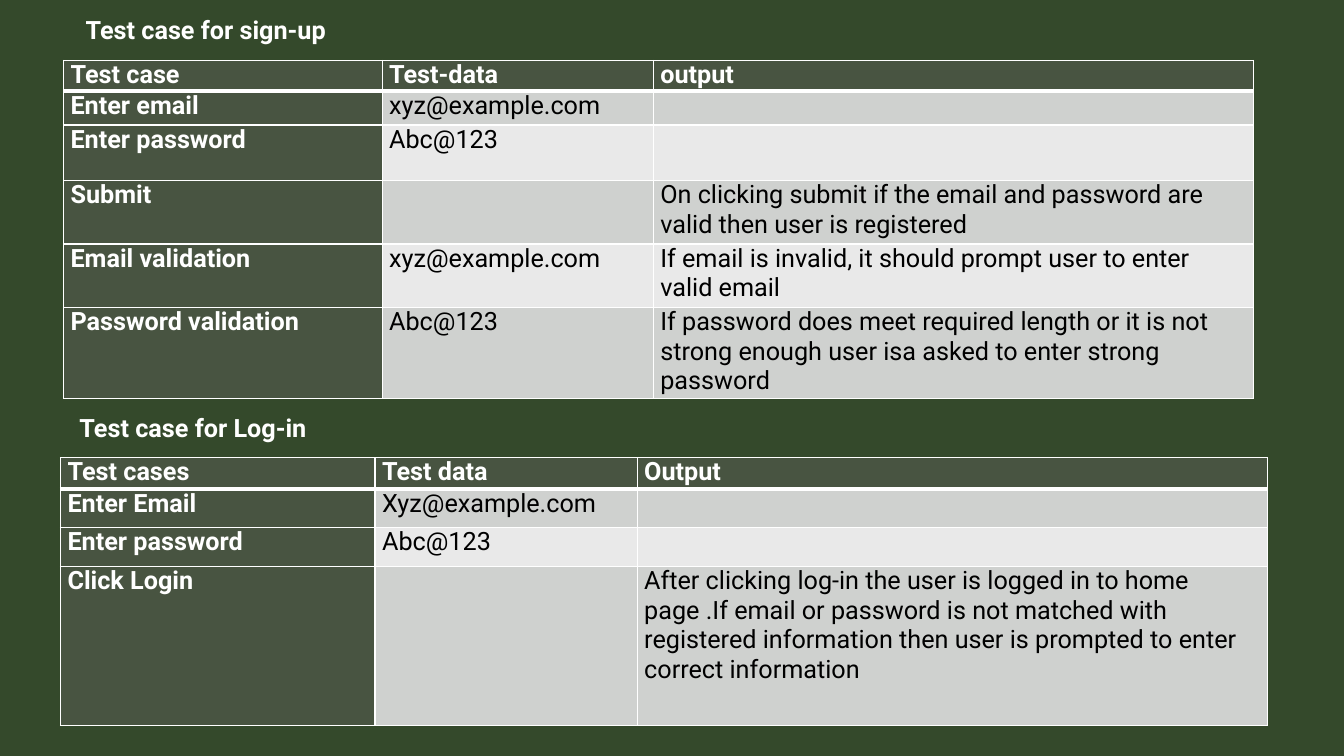
from lxml.etree import SubElement
from pptx import Presentation
from pptx.dml.color import RGBColor
from pptx.oxml.ns import qn
from pptx.util import Inches, Pt

BACKGROUND, HEADING_FILL = "34492B", "485441"
BAND_FILLS = ("E9E9E9", "CFD1CF")
WHITE, BLACK = "FFFFFF", "000000"

SIGN_UP_ROWS = [
    ("Test case", "Test-data", "output"),
    ("Enter email", "xyz@example.com", ""),
    ("Enter password", "Abc@123", ""),
    ("Submit", "", "On clicking submit if the email and password are valid "
                   "then user is registered"),
    ("Email validation", "xyz@example.com",
     "If email is invalid, it should prompt user to enter valid email"),
    ("Password validation", "Abc@123",
     "If password does meet required length or it is not strong enough "
     "user isa asked to enter strong password"),
]
LOG_IN_ROWS = [
    ("Test cases", "Test data", "Output"),
    ("Enter Email", "Xyz@example.com", ""),
    ("Enter password", "Abc@123", ""),
    ("Click Login", "", "After clicking log-in the user is logged in to home "
                        "page .If email or password is not matched with "
                        "registered information then user is prompted to "
                        "enter correct information"),
]


def paint(fill, color):
    fill.solid()
    fill.fore_color.rgb = RGBColor.from_string(color)


def write(text_frame, text, color, bold):
    text_frame.text = text
    for run in text_frame.paragraphs[0].runs:
        run.font.name = "Roboto"
        run.font.size = Pt(18)
        run.font.bold = bold
        run.font.color.rgb = RGBColor.from_string(color)


def add_borders(cell, top, bottom):
    """Draw white borders; top and bottom are widths in points."""
    properties = cell._tc.get_or_add_tcPr()
    for side, width in (("L", 1), ("R", 1), ("T", top), ("B", bottom)):
        border = SubElement(properties, qn(f"a:ln{side}"), w=str(Pt(width)))
        border_fill = SubElement(border, qn("a:solidFill"))
        SubElement(border_fill, qn("a:srgbClr"), val=WHITE)


def add_heading(slide, text, left, top, width):
    heading = slide.shapes.add_textbox(
        Inches(left), Inches(top), Inches(width), Inches(0.4))
    heading.text_frame.word_wrap = True
    write(heading.text_frame, text, WHITE, True)


def add_test_cases(slide, rows, left, top, widths, heights):
    table = slide.shapes.add_table(
        len(rows), len(widths), Inches(left), Inches(top),
        Inches(sum(widths)), Inches(sum(heights))).table
    for column, width in zip(table.columns, widths):
        column.width = Inches(width)
    for row, height in zip(table.rows, heights):
        row.height = Inches(height)

    for r, texts in enumerate(rows):
        for c, text in enumerate(texts):
            cell = table.cell(r, c)
            cell.margin_left = cell.margin_right = Inches(0.07)
            cell.margin_top = cell.margin_bottom = 0
            # The rule under the header row is thicker
            add_borders(cell, 3 if r == 1 else 1, 3 if r == 0 else 1)
            is_heading = r == 0 or c == 0
            paint(cell.fill, HEADING_FILL if is_heading else BAND_FILLS[r % 2])
            write(cell.text_frame, text, WHITE if is_heading else BLACK, is_heading)


def main():
    prs = Presentation()
    prs.slide_width, prs.slide_height = Inches(13.33), Inches(7.5)
    slide = prs.slides.add_slide(prs.slide_layouts[6])
    paint(slide.background.fill, BACKGROUND)

    # Log-in
    add_test_cases(slide, LOG_IN_ROWS, 0.6, 4.54,
                   (3.12, 2.6, 6.25), (0.31, 0.38, 0.39, 1.58))
    add_heading(slide, "Test case for Log-in", 0.69, 4.04, 2.97)

    # Sign-up
    add_test_cases(slide, SIGN_UP_ROWS, 0.63, 0.6,
                   (3.16, 2.69, 5.95), (0.29, 0.34, 0.55, 0.63, 0.63, 0.85))
    add_heading(slide, "Test case for sign-up", 0.75, 0.09, 2.88)

    prs.save("out.pptx")


if __name__ == "__main__":
    main()
